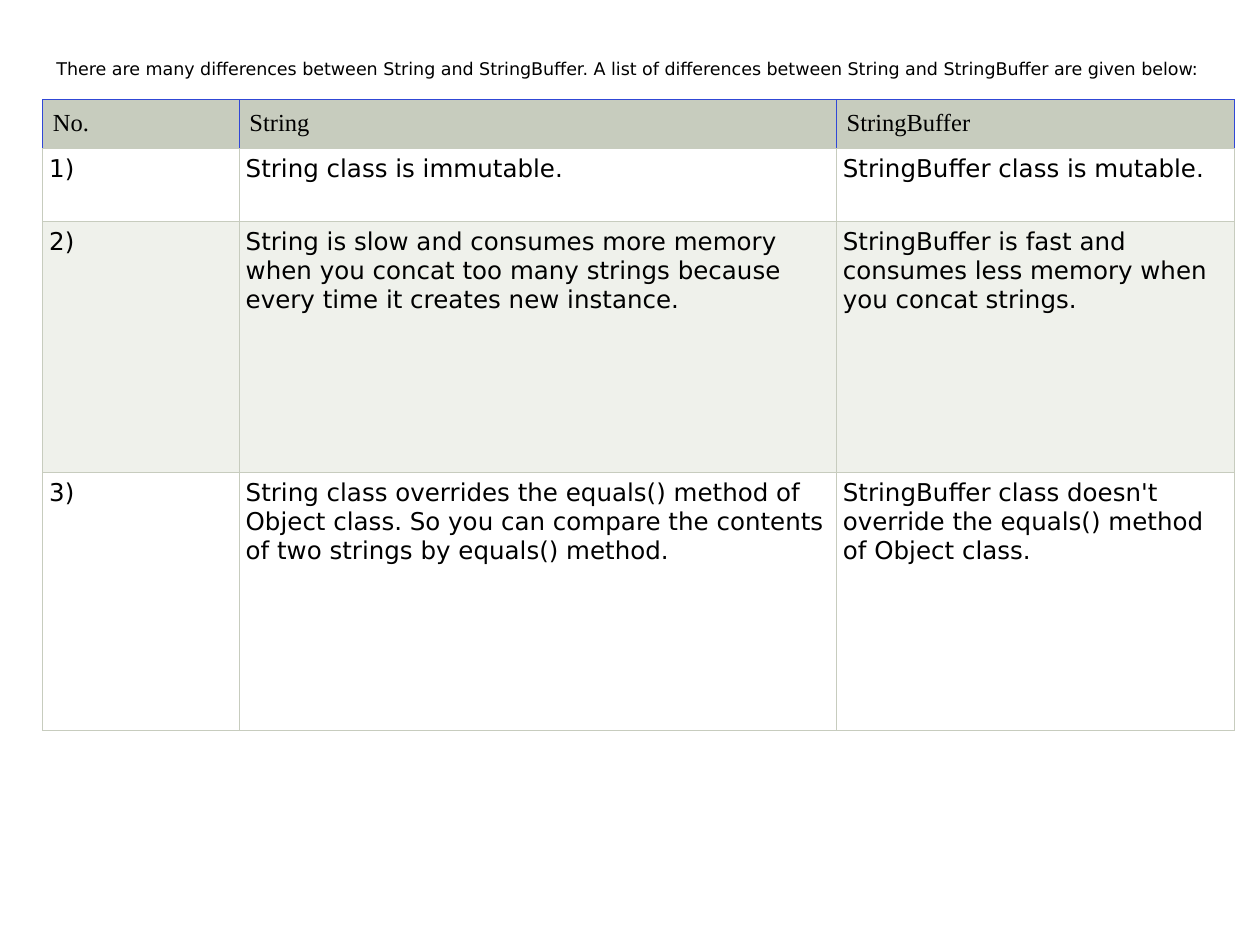
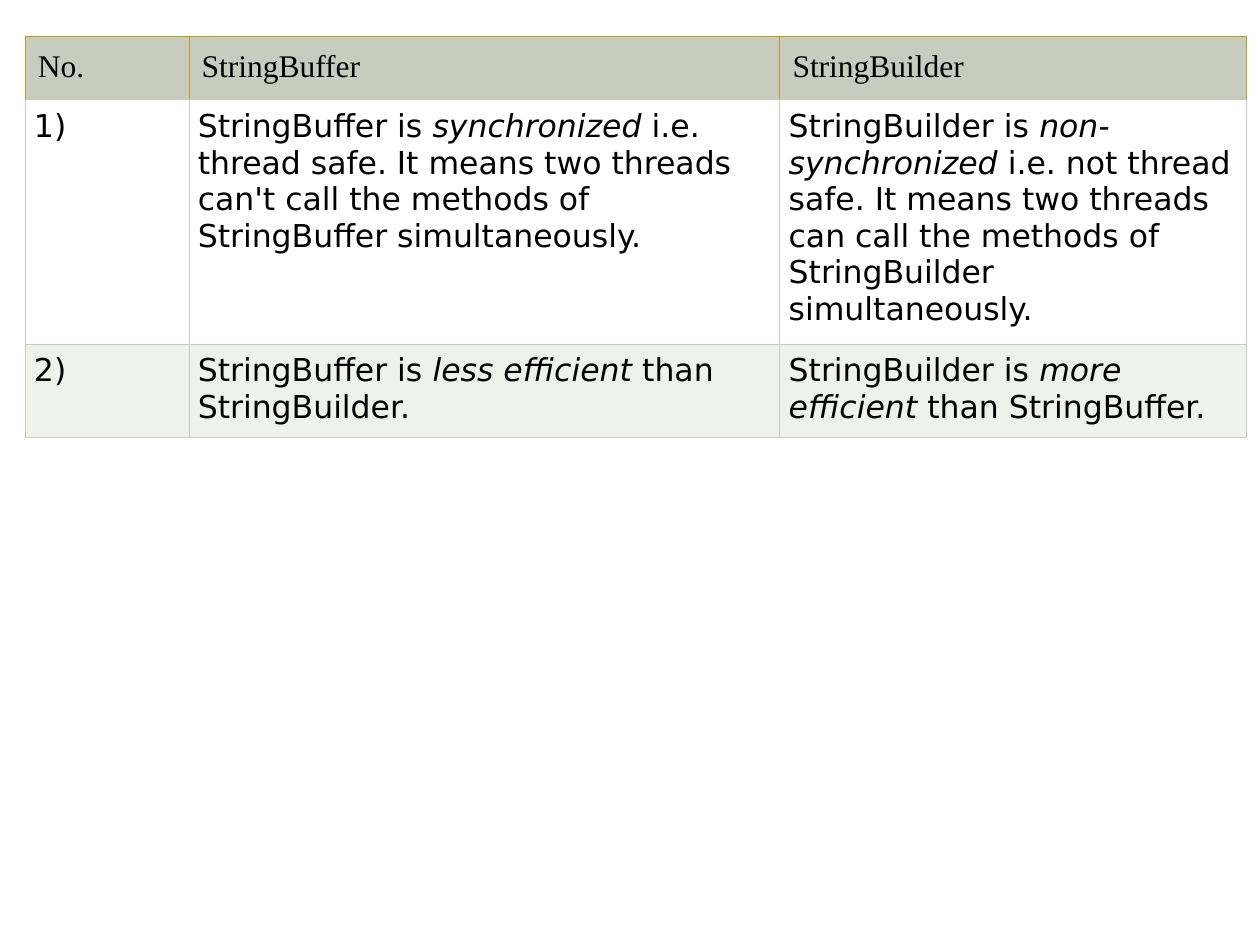
from dataclasses import dataclass

from lxml.etree import SubElement
from pptx import Presentation
from pptx.dml.color import RGBColor
from pptx.enum.text import MSO_ANCHOR, MSO_AUTO_SIZE
from pptx.oxml.ns import qn
from pptx.util import Inches, Pt


@dataclass(frozen=True)
class Theme:
    text: str = "000000"
    header: str = "C7CCBE"
    grid: str = "C7CCBE"
    stripes: tuple = ("FFFFFF", "EFF1EB")
    header_font: str = "Times New Roman"
    body_font: str = "DejaVu Sans"
    intro_size: int = 10
    border_width: float = 0.6


THEME = Theme()

STRING_ROWS = [
    ("No.", "String", "StringBuffer"),
    ("1)", "String class is immutable.", "StringBuffer class is mutable."),
    ("2)",
     "String is slow and consumes more memory when you concat too many strings "
     "because every time it creates new instance.",
     "StringBuffer is fast and consumes less memory when you concat strings."),
    ("3)",
     "String class overrides the equals() method of Object class. So you can "
     "compare the contents of two strings by equals() method.",
     "StringBuffer class doesn't override the equals() method of Object class."),
]

BUILDER_ROWS = [
    ("No.", "StringBuffer", "StringBuilder"),
    ("1)",
     "StringBuffer is *synchronized* i.e. thread safe. It means two threads "
     "can't call the methods of StringBuffer simultaneously.",
     "StringBuilder is *non-synchronized* i.e. not thread safe. It means two "
     "threads can call the methods of StringBuilder simultaneously."),
    ("2)",
     "StringBuffer is *less efficient* than StringBuilder.",
     "StringBuilder is *more efficient* than StringBuffer."),
]


def write_text(tf, text, size, font=THEME.body_font, color=THEME.text):
    """Fill a text frame; parts between asterisks become italic."""
    p = tf.paragraphs[0]
    for i, part in enumerate(text.split("*")):
        r = p.add_run()
        r.text = part
        r.font.size = Pt(size)
        r.font.name = font
        r.font.italic = i % 2 == 1
        r.font.color.rgb = RGBColor.from_string(color)


def set_borders(cell, left, right, top, bottom):
    tcPr = cell._tc.get_or_add_tcPr()
    sides = {"a:lnL": left, "a:lnR": right, "a:lnT": top, "a:lnB": bottom}
    for tag, color in sides.items():
        ln = SubElement(tcPr, qn(tag), w=str(Pt(THEME.border_width)))
        fill = SubElement(ln, qn("a:solidFill"))
        SubElement(fill, qn("a:srgbClr"), val=color)


def format_cell(cell, fill, edge, inset):
    set_borders(cell, edge, edge, edge, THEME.grid)
    cell.fill.solid()
    cell.fill.fore_color.rgb = RGBColor.from_string(fill)
    cell.margin_left = cell.margin_right = Inches(inset)
    cell.margin_top = cell.margin_bottom = Inches(inset)


def add_comparison(s, rows, left, top, widths, heights, size, header_edge,
                   header_inset, body_inset):
    frame = s.shapes.add_table(len(rows), len(widths), Inches(left), Inches(top),
                               Inches(sum(widths)), Inches(sum(heights)))
    table = frame.table
    for column, width in zip(table.columns, widths):
        column.width = Inches(width)
    for i, (row, height, texts) in enumerate(zip(table.rows, heights, rows)):
        row.height = Inches(height)
        for cell, text in zip(row.cells, texts):
            if i == 0:
                format_cell(cell, THEME.header, header_edge, header_inset)
                write_text(cell.text_frame, text, size, font=THEME.header_font)
            else:
                format_cell(cell, THEME.stripes[(i - 1) % 2], THEME.grid, body_inset)
                write_text(cell.text_frame, text, size)


def add_intro(s, text, left, top, width, height):
    box = s.shapes.add_textbox(Inches(left), Inches(top), Inches(width), Inches(height))
    tf = box.text_frame
    tf.word_wrap = False
    tf.auto_size = MSO_AUTO_SIZE.SHAPE_TO_FIT_TEXT
    tf.vertical_anchor = MSO_ANCHOR.MIDDLE
    write_text(tf, text, THEME.intro_size)


def main():
    prs = Presentation()
    prs.slide_width, prs.slide_height = Inches(10), Inches(7.5)
    blank = prs.slide_layouts[6]

    s = prs.slides.add_slide(blank)
    add_comparison(s, STRING_ROWS, 0.34, 0.79, (1.56, 4.74, 3.16),
                   (0.39, 0.58, 1.99, 2.05), size=14, header_edge="3047D6",
                   header_inset=0.08, body_inset=0.05)
    add_intro(s, "There are many differences between String and StringBuffer. "
                 "A list of differences between String and StringBuffer are given below:",
              0.35, 0.29, 10, 0.5)

    s = prs.slides.add_slide(blank)
    add_comparison(s, BUILDER_ROWS, 0.2, 0.29, (1.3, 4.69, 3.7),
                   (0.5, 1.93, 0.74), size=18, header_edge="C09813",
                   header_inset=0.1, body_inset=0.07)

    prs.save("out.pptx")


if __name__ == "__main__":
    main()
